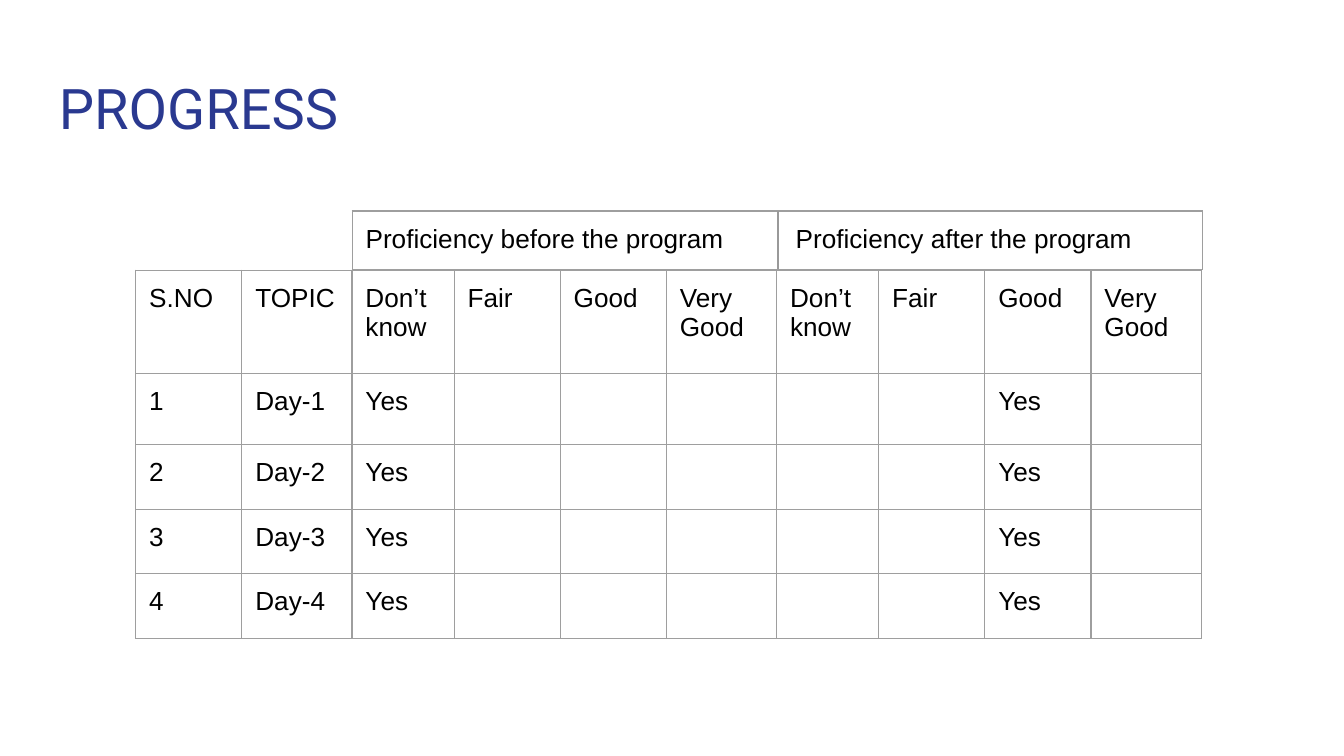
from lxml import etree
from pptx import Presentation
from pptx.dml.color import RGBColor
from pptx.enum import shapes, text
from pptx.oxml import ns
from pptx.util import Inches, Pt

GROUP_COLS = [0.76, 0.79, 0.79, 0.82]
COLS = [0.79, 0.82] + GROUP_COLS * 2
ROWS = [0.77, 0.53] + [0.48] * 3
LEVELS = ["Don’t\nknow", "Fair", "Good"]
HEADINGS = ["S.NO", "TOPIC"] + LEVELS + ["Very Good"] + LEVELS + ["Very\nGood"]


def color(value):
    return RGBColor.from_string(value)


def write(tf, content, size=14, font="Arial", fill="000000"):
    tf.word_wrap = True
    for i, line in enumerate(content.split("\n")):
        p = tf.paragraphs[0] if i == 0 else tf.add_paragraph()
        r = p.add_run()
        r.text = line
        r.font.size = Pt(size)
        r.font.name = font
        r.font.color.rgb = color(fill)


def set_margins(box):
    box.margin_left = box.margin_right = Inches(0.1)
    box.margin_top = box.margin_bottom = Inches(0.1)


def set_empty_size(cell, size=14):
    p = cell.text_frame.paragraphs[0]
    etree.SubElement(p._p, ns.qn("a:endParaRPr"), sz=str(size * 100))


def add_borders(cell, line="9E9E9E", width=0.75):
    props = cell._tc.get_or_add_tcPr()
    for i, side in enumerate(["lnL", "lnR", "lnT", "lnB"]):
        ln = etree.Element(ns.qn("a:" + side), w=str(Pt(width)))
        fill = etree.SubElement(ln, ns.qn("a:solidFill"))
        etree.SubElement(fill, ns.qn("a:srgbClr"), val=line)
        props.insert(i, ln)


def add_grid(s, left, top, cols, rows, values):
    frame = s.shapes.add_table(len(rows), len(cols), Inches(left), Inches(top),
                               Inches(sum(cols)), Inches(sum(rows)))
    table = frame.table
    table.first_row = table.horz_banding = False
    for column, width in zip(table.columns, cols):
        column.width = Inches(width)
    for row, height, contents in zip(table.rows, rows, values):
        row.height = Inches(height)
        for cell, content in zip(row.cells, contents):
            set_margins(cell)
            cell.fill.background()
            add_borders(cell)
            if content:
                write(cell.text_frame, content)
            else:
                set_empty_size(cell)
    return table


def add_title(s, left, top, width, height):
    sp = s.shapes.add_textbox(Inches(left), Inches(top), Inches(width), Inches(height))
    tf = sp.text_frame
    set_margins(tf)
    tf.vertical_anchor = text.MSO_ANCHOR.TOP
    write(tf, "PROGRESS", size=30, font="Roboto", fill="2A3990")


def add_progress(s, left, top):
    days = [[str(n), f"Day-{n}", "Yes"] + [""] * 5 + ["Yes", ""] for n in range(1, 5)]
    add_grid(s, left, top, COLS, ROWS, [HEADINGS] + days)


def add_group_header(s, left, top, width, height):
    heading = "Proficiency before the program\tProficiency after the program"
    table = add_grid(s, left, top, [width], [height], [[heading]])
    p = table.cell(0, 0).text_frame.paragraphs[0]
    tabs = etree.SubElement(p._p.get_or_add_pPr(), ns.qn("a:tabLst"))
    etree.SubElement(tabs, ns.qn("a:tab"), pos=str(Inches(3.2)), algn="l")

    x = Inches(left + sum(GROUP_COLS) + 0.01)
    divider = s.shapes.add_connector(shapes.MSO_CONNECTOR.STRAIGHT, x, Inches(top + height),
                                     x, Inches(top))
    divider.line.color.rgb = color("999999")
    divider.line.width = Pt(0.75)
    etree.SubElement(divider._element.spPr, ns.qn("a:effectLst"))


def main():
    prs = Presentation()
    prs.slide_width = Inches(10)
    prs.slide_height = prs.slide_width * 9 // 16
    s = prs.slides.add_slide(prs.slide_layouts[6])
    add_title(s, 0.34, 0.45, 9.32, 0.66)
    add_progress(s, 1.01, 2.01)
    add_group_header(s, 2.62, 1.57, 6.33, 0.43)
    prs.save("out.pptx")


if __name__ == "__main__":
    main()
